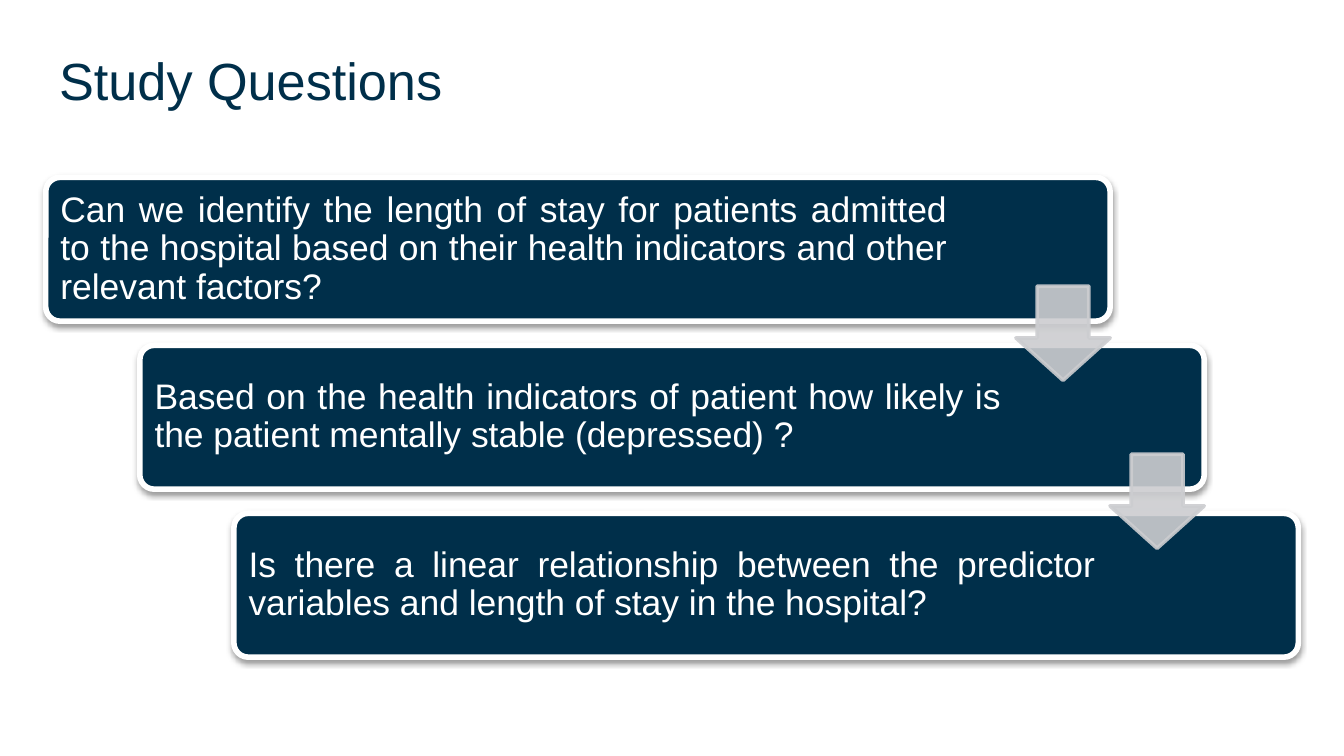
from lxml import etree
from pptx import Presentation
from pptx.dml.color import RGBColor
from pptx.enum.shapes import MSO_SHAPE as Shape
from pptx.enum.text import MSO_ANCHOR as Anchor, MSO_AUTO_SIZE as AutoSize, PP_ALIGN as Align
from pptx.oxml import parse_xml
from pptx.oxml.ns import nsdecls, qn
from pptx.util import Inches, Pt

NAVY = RGBColor(0x00, 0x2F, 0x4A)
WHITE = RGBColor(0xFF, 0xFF, 0xFF)
GREY = RGBColor(0xCC, 0xCD, 0xD0)
FONT = "Arial"

# Slide of 16:9, in inches
SLIDE_W = 10
SLIDE_H = SLIDE_W * 9 / 16

# Staircase grid, in inches: each step moves right and down
LEFT, TOP = 0.34, 1.32
STEP_X, STEP_Y = 0.7, 1.25
CARD_W, CARD_H = 7.92, 1.07
TEXT_INSET = 0.03
ARROW = 0.7
ARROW_X, ARROW_Y = 7.56, 2.13

# Question and width of its text
QUESTIONS = [
    ("Can we identify the length of stay for patients admitted to the hospital "
     "based on their health indicators and other relevant factors?", 6.76),
    ("Based on the health indicators of patient how likely is the patient "
     "mentally stable (depressed) ?", 6.46),
    ("Is there a linear relationship between the predictor variables and "
     "length of stay in the hospital?", 6.46),
]


def write(box, text, size, color, align, margin):
    frame = box.text_frame
    frame.text = text
    frame.word_wrap = True
    frame.auto_size = AutoSize.NONE
    frame.vertical_anchor = Anchor.MIDDLE
    frame.margin_left = frame.margin_right = Inches(margin)
    frame.margin_top = frame.margin_bottom = Inches(margin)
    para = frame.paragraphs[0]
    para.alignment = align
    para.line_spacing = 0.9
    font = para.runs[0].font
    font.name, font.size = FONT, Pt(size)
    font.color.rgb = color


def add_shadow(shape):
    properties = shape._element.spPr
    properties.remove(properties.find(qn("a:effectLst")))
    properties.append(parse_xml(
        f'<a:effectLst {nsdecls("a")}>'
        f'<a:outerShdw blurRad="{Pt(3.1)}" dist="{Pt(1.6)}" dir="5400000" rotWithShape="0">'
        '<a:srgbClr val="000000"><a:alpha val="38000"/></a:srgbClr>'
        '</a:outerShdw></a:effectLst>'))


def make_translucent(shape, percent):
    for color in shape._element.spPr.iter(qn("a:srgbClr")):
        etree.SubElement(color, qn("a:alpha")).set("val", str(percent * 1000))


def add_block(page, kind, left, top, width, height, fill, line, line_width):
    block = page.shapes.add_shape(kind, Inches(left), Inches(top), Inches(width), Inches(height))
    block.shadow.inherit = False
    block.fill.solid()
    block.fill.fore_color.rgb = fill
    block.line.color.rgb = line
    block.line.width = Pt(line_width)
    return block


def add_title(page, text):
    title = page.shapes.title
    title.left, title.top = Inches(LEFT), Inches(0.31)
    title.width, title.height = Inches(SLIDE_W - 2 * LEFT), Inches(0.63)
    write(title, text, 28, NAVY, Align.LEFT, 0.1)


def add_question(page, step, text, text_width):
    left, top = LEFT + step * STEP_X, TOP + step * STEP_Y
    card = add_block(page, Shape.ROUNDED_RECTANGLE, left, top, CARD_W, CARD_H, NAVY, WHITE, 3)
    card.adjustments[0] = 0.1
    add_shadow(card)
    box = page.shapes.add_textbox(
        Inches(left + TEXT_INSET), Inches(top + TEXT_INSET),
        Inches(text_width), Inches(CARD_H - 2 * TEXT_INSET))
    write(box, text, 19, WHITE, Align.JUSTIFY, 0.08)


def add_arrow(page, step):
    arrow = add_block(page, Shape.DOWN_ARROW, ARROW_X + step * STEP_X, ARROW_Y + step * STEP_Y,
                      ARROW, ARROW, GREY, GREY, 2)
    arrow.adjustments[0], arrow.adjustments[1] = 0.55, 0.45
    make_translucent(arrow, 90)


def main():
    deck = Presentation()
    deck.slide_width, deck.slide_height = Inches(SLIDE_W), Inches(SLIDE_H)
    page = deck.slides.add_slide(deck.slide_layouts[5])

    add_title(page, "Study Questions")

    # Question cards, then the arrows that lead from one to the next
    for step, (text, text_width) in enumerate(QUESTIONS):
        add_question(page, step, text, text_width)
    for step in range(len(QUESTIONS) - 1):
        add_arrow(page, step)

    deck.save("out.pptx")


if __name__ == "__main__":
    main()
